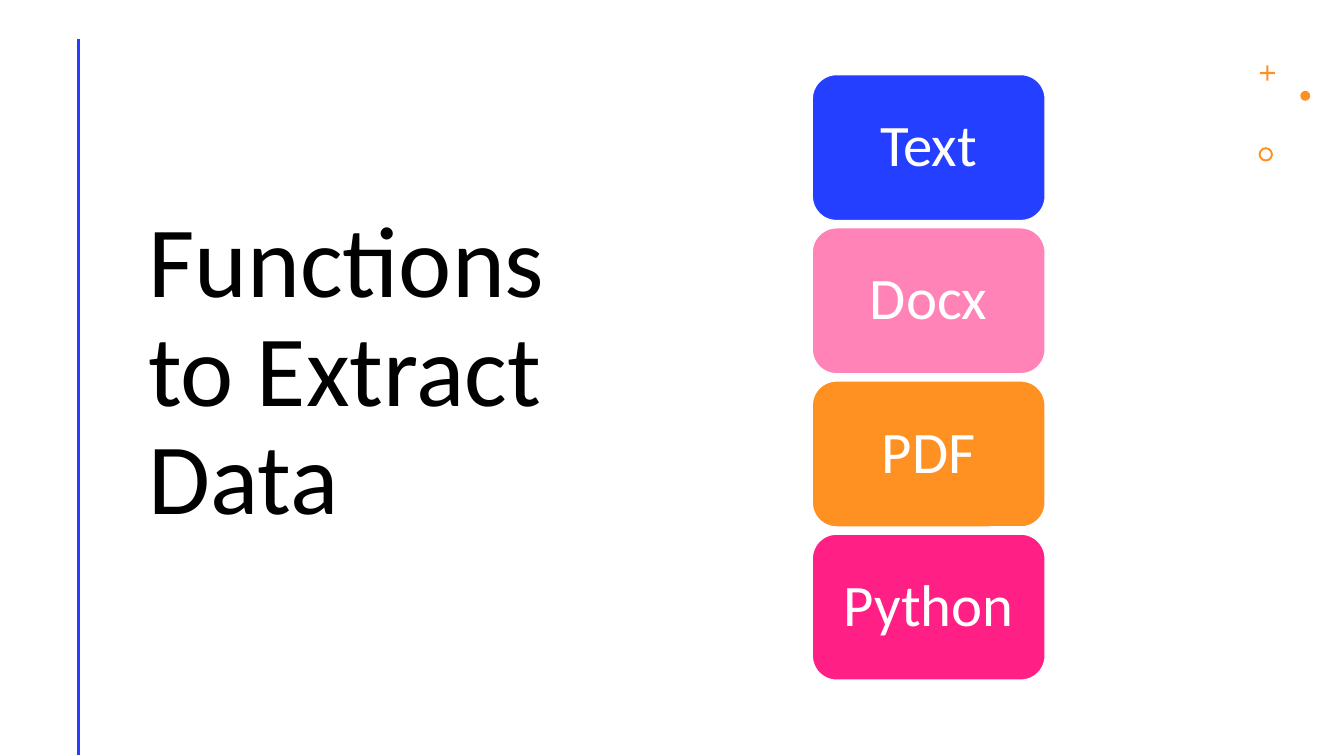
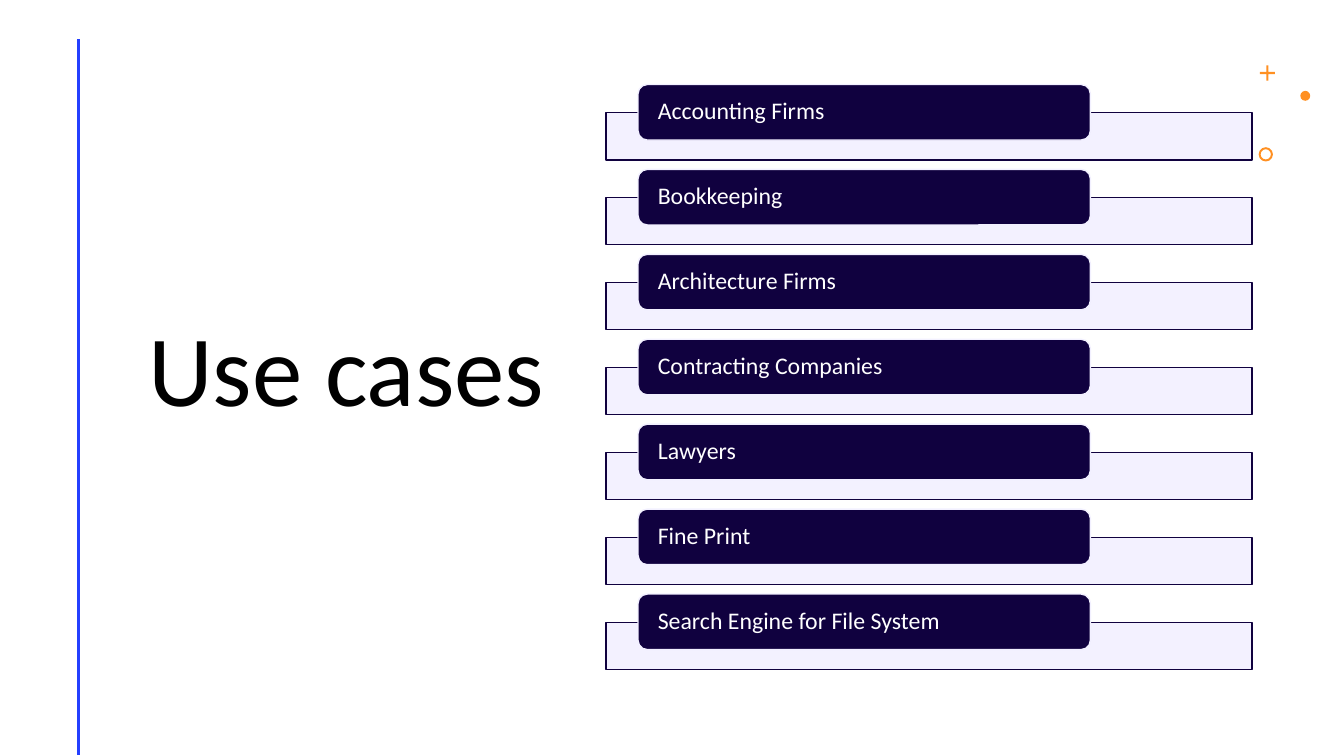
from lxml.etree import SubElement
from pptx import Presentation
from pptx.dml.color import RGBColor
from pptx.enum.shapes import MSO_CONNECTOR, MSO_SHAPE as SHAPE
from pptx.enum.text import MSO_ANCHOR, MSO_AUTO_SIZE, PP_ALIGN
from pptx.oxml.ns import qn
from pptx.util import Cm, Pt

COLORS = {
    "black": "000000",
    "white": "FFFFFF",
    "blue": "243FFF",
    "rose": "FF83B6",
    "orange": "FF9022",
    "pink": "FF1F85",
    "navy": "10013F",
    "lavender": "F2F0FF",
}
FONT = "Calibri"


def rgb(name):
    return RGBColor.from_string(COLORS[name])


class Deck:
    def __init__(self):
        self.prs = Presentation()
        self.prs.slide_width, self.prs.slide_height = Cm(33.87), Cm(19.05)
        self.s = None

    def add_slide(self, title):
        self.s = self.prs.slides.add_slide(self.prs.slide_layouts[5])
        self.title(title)
        self.rule()
        self.ornaments()

    def style(self, tf, size, color, align):
        tf.word_wrap = True
        tf.auto_size = MSO_AUTO_SIZE.NONE
        tf.vertical_anchor = MSO_ANCHOR.MIDDLE
        p = tf.paragraphs[0]
        p.alignment = align
        p.line_spacing = 0.9
        for r in p.runs:
            r.font.name = FONT
            r.font.size = Pt(size)
            r.font.color.rgb = rgb(color)

    def title(self, text):
        sp = self.s.shapes.title
        sp.left, sp.top, sp.width, sp.height = Cm(3.48), Cm(1.65), Cm(10.95), Cm(15.52)
        sp.text_frame.text = text
        self.style(sp.text_frame, 72, "black", PP_ALIGN.LEFT)

    def rule(self):
        line = self.s.shapes.add_connector(
            MSO_CONNECTOR.STRAIGHT, Cm(1.98), Cm(0.99), Cm(1.98), Cm(19.02))
        line.line.color.rgb = rgb("blue")
        line.line.width = Pt(2)
        SubElement(line._element.spPr, qn("a:effectLst"))

    def ornaments(self):
        plus = self.shape(SHAPE.CROSS, 31.75, 1.65, 0.38, 0.38, "orange")
        plus.adjustments[0] = 0.43
        self.shape(SHAPE.OVAL, 32.77, 2.29, 0.25, 0.25, "orange")
        ring = self.shape(SHAPE.DONUT, 31.72, 3.71, 0.36, 0.36, "orange")
        ring.adjustments[0] = 0.14

    def shape(self, kind, x, y, w, h, fill, line=None, opacity=None):
        sp = self.s.shapes.add_shape(kind, Cm(x), Cm(y), Cm(w), Cm(h))
        sp.shadow.inherit = False
        sp.fill.solid()
        sp.fill.fore_color.rgb = rgb(fill)
        if opacity is not None:
            color = sp._element.spPr.find(qn("a:solidFill"))[0]
            SubElement(color, qn("a:alpha"), val=str(opacity * 1000))
        if line:
            sp.line.color.rgb = rgb(line)
            sp.line.width = Pt(1)
        else:
            sp.line.fill.background()
        return sp

    def label(self, text, x, y, w, h, fill, line, size, align):
        sp = self.shape(SHAPE.ROUNDED_RECTANGLE, x, y, w, h, fill, line)
        tf = sp.text_frame
        tf.text = text
        tf.margin_left = tf.margin_right = Cm(0.43)
        tf.margin_top = tf.margin_bottom = 0
        self.style(tf, size, "white", align)

    def tiles(self, items):
        for i, (text, fill) in enumerate(items):
            self.label(text, 20.47, 1.88 + i * 3.86, 5.87, 3.68,
                       fill, "white", 42, PP_ALIGN.CENTER)

    def bars(self, items):
        for i, text in enumerate(items):
            y = 2.13 + i * 2.14
            self.shape(SHAPE.RECTANGLE, 15.27, y + 0.71, 16.28, 1.19,
                       "lavender", "navy", opacity=90)
            self.label(text, 16.08, y, 11.4, 1.4,
                       "navy", "lavender", 17, PP_ALIGN.LEFT)


def main():
    deck = Deck()
    deck.add_slide("Functions to Extract Data")
    deck.tiles([("Text", "blue"), ("Docx", "rose"),
                ("PDF", "orange"), ("Python", "pink")])
    deck.add_slide("Use cases")
    deck.bars(["Accounting Firms", "Bookkeeping", "Architecture Firms",
               "Contracting Companies", "Lawyers", "Fine Print",
               "Search Engine for File System"])
    deck.prs.save("out.pptx")


if __name__ == "__main__":
    main()
